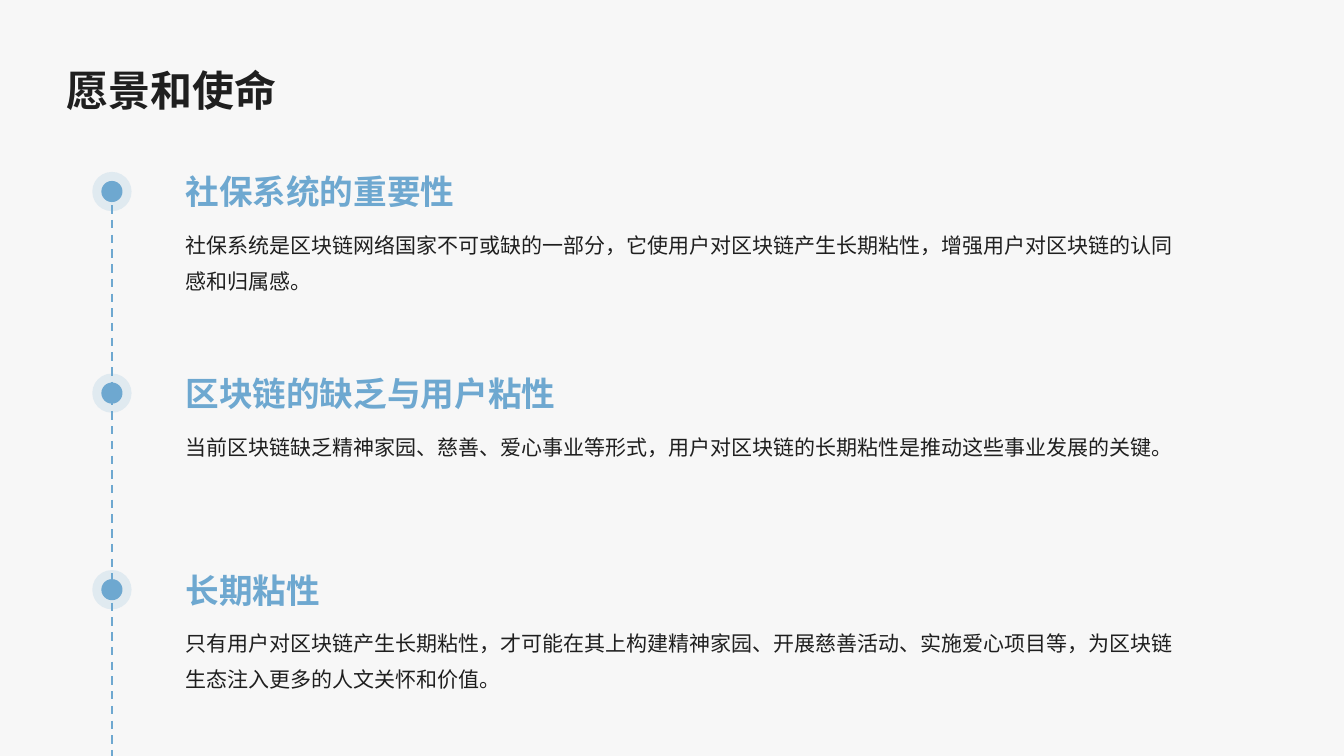
from lxml import etree
from pptx import Presentation
from pptx.dml.color import RGBColor
from pptx.enum import dml, shapes, text
from pptx.oxml import ns
from pptx.util import Inches, Pt

BACKGROUND = RGBColor(0xF7, 0xF7, 0xF7)
INK = RGBColor(0x1F, 0x1F, 0x1F)
BLUE = RGBColor(0x6E, 0xA8, 0xD0)

AXIS_X = 1.11
TEXT_LEFT = 1.84
TOPICS = [
    (1.49, "社保系统的重要性",
     "社保系统是区块链网络国家不可或缺的一部分，它使用户对区块链产生长期粘性，"
     "增强用户对区块链的认同感和归属感。"),
    (3.49, "区块链的缺乏与用户粘性",
     "当前区块链缺乏精神家园、慈善、爱心事业等形式，"
     "用户对区块链的长期粘性是推动这些事业发展的关键。"),
    (5.44, "长期粘性",
     "只有用户对区块链产生长期粘性，才可能在其上构建精神家园、开展慈善活动、"
     "实施爱心项目等，为区块链生态注入更多的人文关怀和价值。"),
]


def add_xml(parent, tag, **attributes):
    return etree.SubElement(parent, ns.qn(tag), attributes)


class TimelineSlide:
    font = "Noto Sans CJK SC"

    def __init__(self, presentation):
        self.slide = presentation.slides.add_slide(presentation.slide_layouts[6])
        fill = self.slide.background.fill
        fill.solid()
        fill.fore_color.rgb = BACKGROUND

    def label(self, wording, box, size, color, bold=False, spacing=1.4,
              anchor=text.MSO_ANCHOR.TOP, insets=(0, 0, 0, 0)):
        frame = self.slide.shapes.add_textbox(*map(Inches, box)).text_frame
        frame.word_wrap = True
        frame.vertical_anchor = anchor
        (frame.margin_left, frame.margin_top,
         frame.margin_right, frame.margin_bottom) = map(Inches, insets)
        frame.text = wording
        paragraph = frame.paragraphs[0]
        paragraph.line_spacing = spacing
        run = paragraph.runs[0]
        run.font.size = Pt(size)
        run.font.bold = bold
        run.font.color.rgb = color
        run.font.name = self.font
        add_xml(run.font._element, "a:ea", typeface=self.font)

    def marker(self, center_y):
        """Group a solid dot with its translucent halo."""
        group = self.slide.shapes.add_group_shape()
        for diameter, opacity in ((0.21, 100), (0.39, 16)):
            circle = group.shapes.add_shape(
                shapes.MSO_SHAPE.OVAL,
                Inches(AXIS_X - diameter / 2), Inches(center_y - diameter / 2),
                Inches(diameter), Inches(diameter))
            circle.shadow.inherit = False
            circle.line.fill.background()
            circle.fill.solid()
            circle.fill.fore_color.rgb = BLUE
            if opacity < 100:
                tint = circle._element.spPr.find(".//" + ns.qn("a:srgbClr"))
                add_xml(tint, "a:alpha", val=str(opacity * 1000))

    def dashed_arrow(self, top, bottom):
        arrow = self.slide.shapes.add_connector(
            shapes.MSO_CONNECTOR.STRAIGHT,
            Inches(AXIS_X), Inches(top), Inches(AXIS_X), Inches(bottom))
        arrow.line.color.rgb = BLUE
        arrow.line.width = Pt(1.5)
        arrow.line.dash_style = dml.MSO_LINE.DASH
        add_xml(arrow.line._get_or_add_ln(), "a:tailEnd", type="triangle")
        add_xml(arrow._element.spPr, "a:effectLst")

    def topic(self, top, heading, description):
        self.label(heading, (TEXT_LEFT, top, 9.78, 0.61), 24, BLUE, bold=True,
                   spacing=1.2, anchor=text.MSO_ANCHOR.BOTTOM)
        self.label(description, (TEXT_LEFT, top + 0.72, 9.81, 0.84), 15, INK)
        self.marker(top + 0.41)


def main():
    presentation = Presentation()
    presentation.slide_width = Inches(13.33)
    presentation.slide_height = Inches(7.5)
    vision = TimelineSlide(presentation)
    vision.label("愿景和使命", (0.52, 0.29, 12.29, 1), 30, INK, bold=True,
                 anchor=text.MSO_ANCHOR.MIDDLE, insets=(0.14, 0.14, 0.06, 0.14))
    for topic in TOPICS:
        vision.topic(*topic)
    vision.dashed_arrow(1.89, 7.59)
    presentation.save("out.pptx")


if __name__ == "__main__":
    main()
